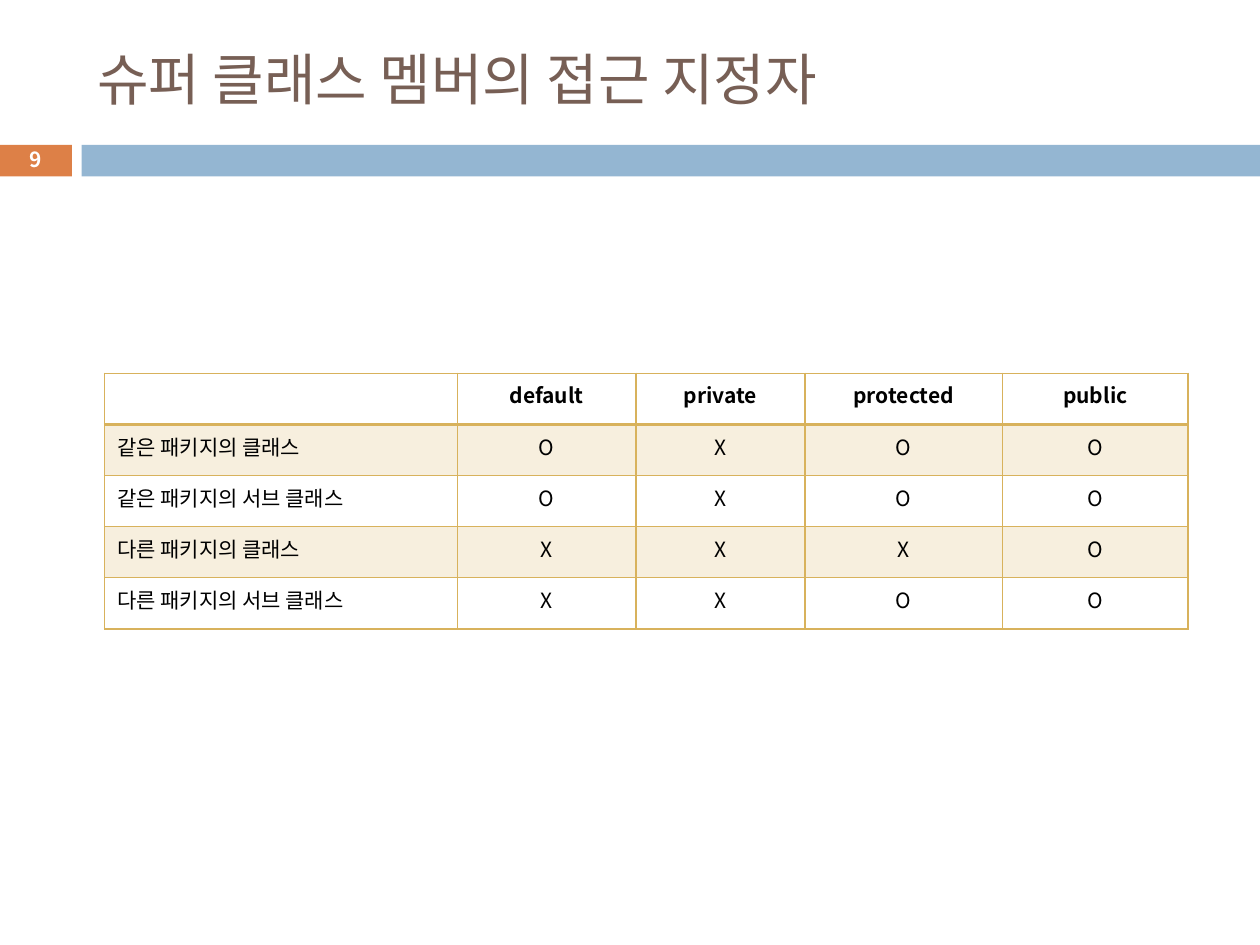
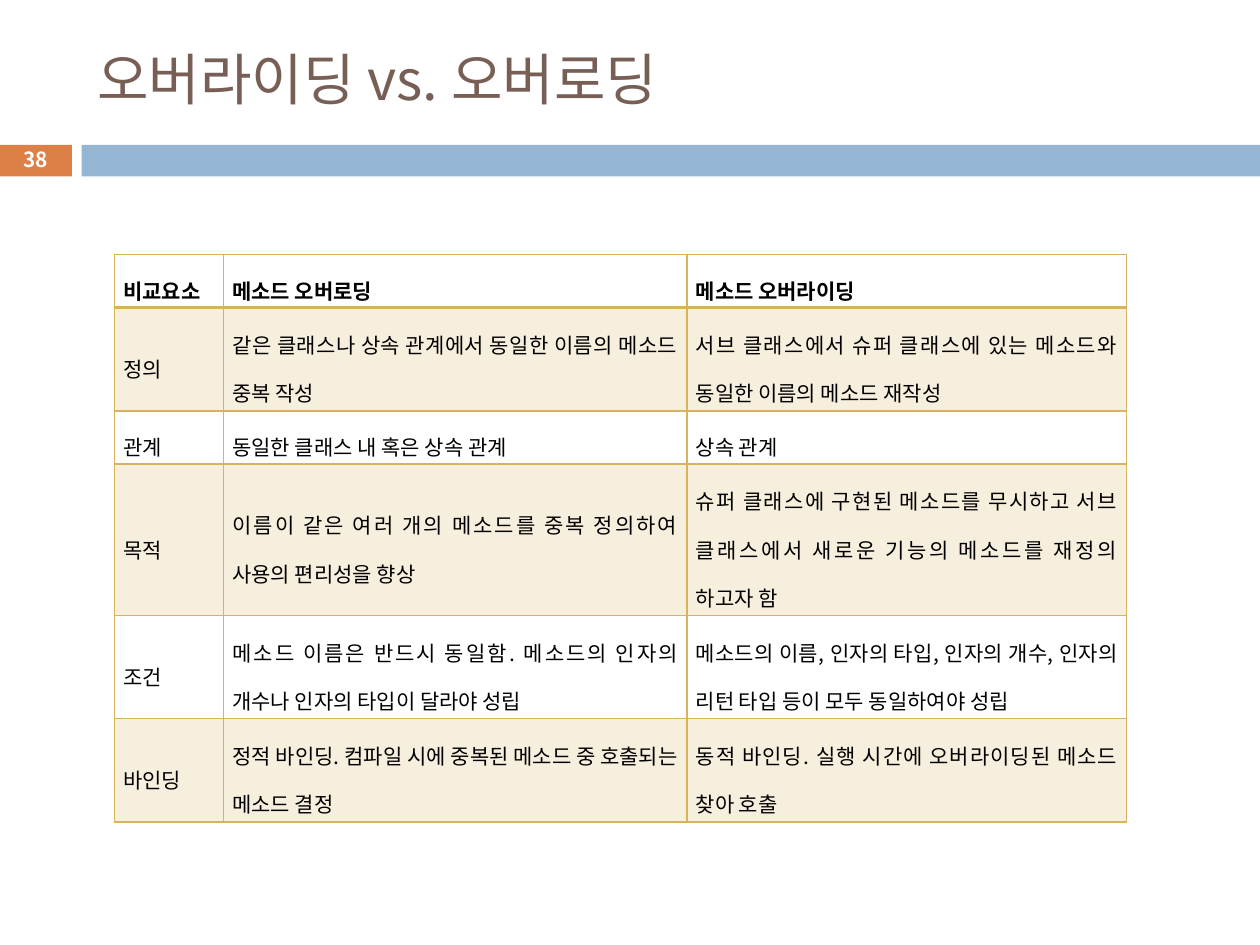
import pptx
import pptx.dml.color
import pptx.enum.shapes
import pptx.enum.text
import pptx.oxml
import pptx.oxml.ns
import pptx.util

Pt = pptx.util.Pt
ALIGN = pptx.enum.text.PP_ALIGN
MIDDLE = pptx.enum.text.MSO_ANCHOR.MIDDLE
TOP = pptx.enum.text.MSO_ANCHOR.TOP
FONT = "Noto Sans CJK KR"
BROWN, ORANGE, BLUE, GOLD = "775F55", "DD8047", "94B6D2", "D8B25C"
WHITE, BLACK = "FFFFFF", "000000"
NAMESPACE = pptx.oxml.ns.nsdecls("a")


def color(hex_text):
    return pptx.dml.color.RGBColor.from_string(hex_text)


def add_span(para, text, size, hex_text, bold=False):
    """Add a run with the deck font set for Latin and Korean text."""
    span = para.add_run()
    span.text = text
    span.font.size = Pt(size)
    span.font.bold = bold
    span.font.color.rgb = color(hex_text)
    span.font.name = FONT
    span.font._element.append(
        pptx.oxml.parse_xml(f'<a:ea {NAMESPACE} typeface="{FONT}"/>'))


access_table = {
    "place": (59.76, 213.3),
    "columns": [201.6, 102.1, 96.5, 113, 106],
    "heights": [29.2] * 5,
    "margins": (7.2, 3.6),
    "anchor": TOP,
    "aligns": [ALIGN.LEFT] + [ALIGN.CENTER] * 4,
    "line_spacing": 1.0,
    "rows": [
        ["", "default", "private", "protected", "public"],
        ["같은 패키지의 클래스", "O", "X", "O", "O"],
        ["같은 패키지의 서브 클래스", "O", "X", "O", "O"],
        ["다른 패키지의 클래스", "X", "X", "X", "O"],
        ["다른 패키지의 서브 클래스", "X", "X", "O", "O"],
    ],
}

comparison_table = {
    "place": (65.3, 145.3),
    "columns": [62.4, 264.8, 251.2],
    "heights": [30.5, 59, 30.5, 86.5, 59, 59],
    "margins": (5.1, 1.4),
    "anchor": MIDDLE,
    "aligns": [ALIGN.JUSTIFY] * 3,
    "line_spacing": 1.6,
    "rows": [
        ["비교요소", "메소드 오버로딩", "메소드 오버라이딩"],
        ["정의", "같은 클래스나 상속 관계에서 동일한 이름의 메소드 중복 작성",
         "서브 클래스에서 슈퍼 클래스에 있는 메소드와 동일한 이름의 메소드 재작성"],
        ["관계", "동일한 클래스 내 혹은 상속 관계", "상속 관계"],
        ["목적", "이름이 같은 여러 개의 메소드를 중복 정의하여 사용의 편리성을 향상",
         "슈퍼 클래스에 구현된 메소드를 무시하고 서브 클래스에서 새로운 기능의 "
         "메소드를 재정의 하고자 함"],
        ["조건", "메소드 이름은 반드시 동일함. 메소드의 인자의 개수나 인자의 타입이 달라야 성립",
         "메소드의 이름, 인자의 타입, 인자의 개수, 인자의 리턴 타입 등이 모두 동일하여야 성립"],
        ["바인딩", "정적 바인딩. 컴파일 시에 중복된 메소드 중 호출되는 메소드 결정",
         "동적 바인딩. 실행 시간에 오버라이딩된 메소드 찾아 호출"],
    ],
}

pages = [
    ("슈퍼 클래스 멤버의 접근 지정자", "9", access_table),
    ("오버라이딩 vs. 오버로딩", "38", comparison_table),
]

deck = pptx.Presentation()
deck.slide_width, deck.slide_height = Pt(720), Pt(540)

for title_text, number, content in pages:
    page = deck.slides.add_slide(deck.slide_layouts[5])

    # Title and the band below it
    title = page.shapes.title
    title.left, title.top, title.width, title.height = Pt(48.24), Pt(18), Pt(642.2), Pt(53.3)
    title.text_frame.vertical_anchor = MIDDLE
    para = title.text_frame.paragraphs[0]
    para.alignment = ALIGN.LEFT
    add_span(para, title_text, 32, BROWN)

    for left, width, fill in [(-0.7, 41.8, ORANGE), (46.6, 673.4, BLUE)]:
        band = page.shapes.add_shape(pptx.enum.shapes.MSO_SHAPE.RECTANGLE,
                                     Pt(left), Pt(82.8), Pt(width), Pt(18))
        band.shadow.inherit = False
        band.fill.solid()
        band.fill.fore_color.rgb = color(fill)
        band.line.fill.background()

    box = page.shapes.add_textbox(Pt(-0.7), Pt(81.4), Pt(41.8), Pt(19.4))
    frame = box.text_frame
    frame.word_wrap = True
    frame.vertical_anchor = MIDDLE
    frame.margin_top = frame.margin_bottom = 0
    para = frame.paragraphs[0]
    para.alignment = ALIGN.CENTER
    add_span(para, number, 11.9, WHITE, bold=True)

    # Table
    rows, columns, heights = content["rows"], content["columns"], content["heights"]
    left, top = content["place"]
    table = page.shapes.add_table(len(rows), len(columns), Pt(left), Pt(top),
                                  Pt(sum(columns)), Pt(sum(heights))).table
    table.horz_banding = False
    for column, width in zip(table.columns, columns):
        column.width = Pt(width)
    for row, height in zip(table.rows, heights):
        row.height = Pt(height)

    for row_index, texts in enumerate(rows):
        for column_index, text in enumerate(texts):
            cell = table.cell(row_index, column_index)
            side_margin, end_margin = content["margins"]
            cell.margin_left = cell.margin_right = Pt(side_margin)
            cell.margin_top = cell.margin_bottom = Pt(end_margin)
            cell.vertical_anchor = content["anchor"]

            properties = cell._tc.get_or_add_tcPr()
            for side in "LRTB":
                under_header = (row_index, side) in [(0, "B"), (1, "T")]
                properties.append(pptx.oxml.parse_xml(
                    f'<a:ln{side} {NAMESPACE} w="{Pt(2 if under_header else 1)}"><a:solidFill>'
                    f'<a:srgbClr val="{GOLD}"/></a:solidFill></a:ln{side}>'))
            if row_index % 2:
                cell.fill.solid()
                cell.fill.fore_color.rgb = color(GOLD)
                tint = properties.find(pptx.oxml.ns.qn("a:solidFill"))[0]
                tint.append(pptx.oxml.parse_xml(f'<a:alpha {NAMESPACE} val="20000"/>'))
            else:
                cell.fill.background()

            if text:
                para = cell.text_frame.paragraphs[0]
                para.alignment = content["aligns"][column_index]
                para.line_spacing = content["line_spacing"]
                add_span(para, text, 12, BLACK, bold=row_index == 0)

deck.save("out.pptx")
